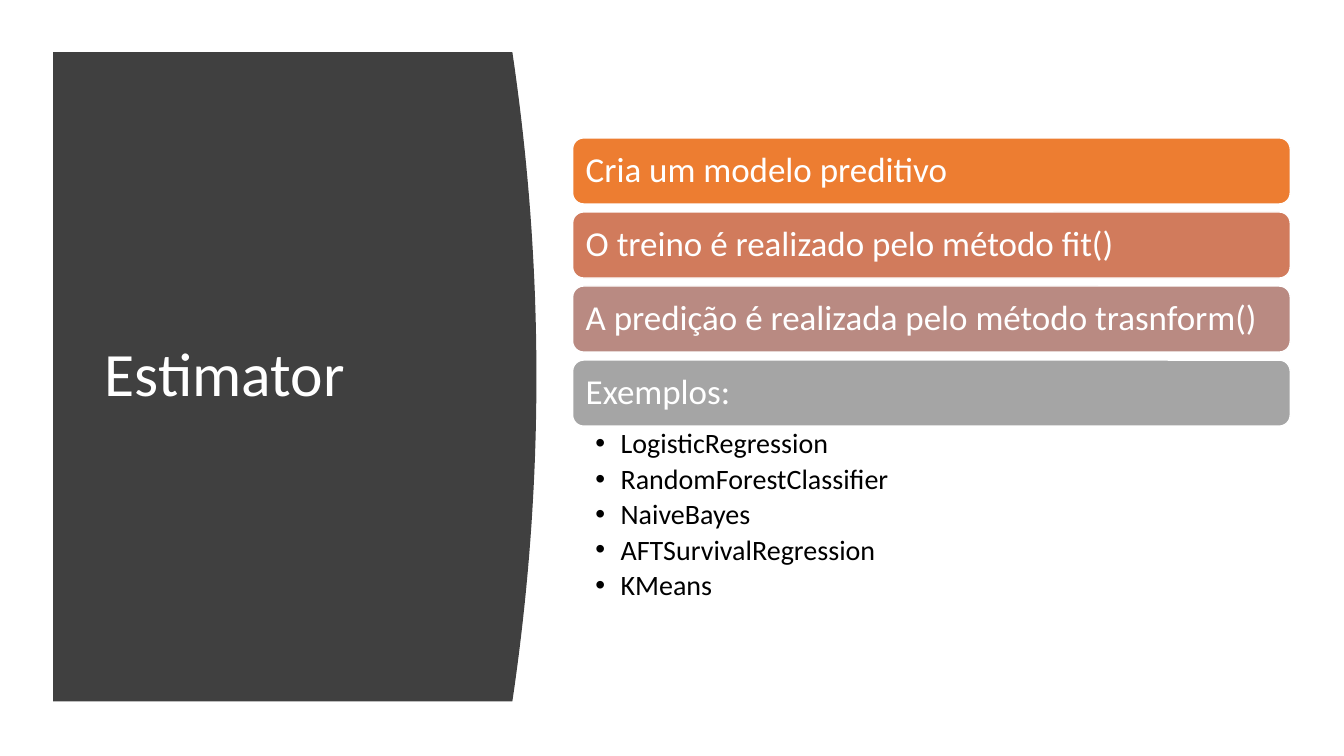
from lxml import etree
from pptx import Presentation
from pptx.dml.color import RGBColor
from pptx.enum import shapes, text
from pptx.oxml.ns import qn
from pptx.util import Pt

WHITE = RGBColor(0xFF, 0xFF, 0xFF)
BLACK = RGBColor(0x00, 0x00, 0x00)
CHARCOAL = RGBColor(0x40, 0x40, 0x40)
ORANGE = RGBColor(0xED, 0x7D, 0x31)
TERRACOTTA = RGBColor(0xD1, 0x7B, 0x5C)
DUSTY_ROSE = RGBColor(0xB9, 0x8A, 0x82)
GRAY = RGBColor(0xA5, 0xA5, 0xA5)


def add_text(paragraph, wording, size, color):
    paragraph.alignment = text.PP_ALIGN.LEFT
    paragraph.line_spacing = 0.9
    run = paragraph.add_run()
    run.text = wording
    run.font.name = "Calibri"
    run.font.size = Pt(size)
    run.font.color.rgb = color


def set_frame(frame, left, top, right, bottom, anchor):
    frame.word_wrap = True
    frame.vertical_anchor = anchor
    frame.margin_left, frame.margin_top = Pt(left), Pt(top)
    frame.margin_right, frame.margin_bottom = Pt(right), Pt(bottom)


presentation = Presentation()
presentation.slide_width = Pt(960)
presentation.slide_height = Pt(540)
slide = presentation.slides.add_slide(presentation.slide_layouts[6])

# Dark panel whose right edge bulges as a parabola
panel_left, panel_top, panel_bottom = 38, 37.3, 501
edge_right, bulge, steps = 366, 17.2, 40
edge = []
for step in range(steps + 1):
    offset = 2 * step / steps - 1
    x = edge_right + bulge * (1 - offset ** 2)
    y = panel_top + (panel_bottom - panel_top) * step / steps
    edge.append((Pt(x), Pt(y)))
builder = slide.shapes.build_freeform(Pt(panel_left), Pt(panel_top))
builder.add_line_segments(edge + [(Pt(panel_left), Pt(panel_bottom))], close=True)
panel = builder.convert_to_shape()
panel.shadow.inherit = False
panel.fill.solid()
panel.fill.fore_color.rgb = CHARCOAL
panel.line.fill.background()

# Title
title = slide.shapes.add_textbox(Pt(67.8), Pt(80), Pt(269), Pt(377.5))
set_frame(title.text_frame, 7.2, 3.6, 7.2, 3.6, text.MSO_ANCHOR.MIDDLE)
add_text(title.text_frame.paragraphs[0], "Estimator", 44, WHITE)

# Bars
bars = [
    ("Cria um modelo preditivo", ORANGE),
    ("O treino é realizado pelo método fit()", TERRACOTTA),
    ("A predição é realizada pelo método trasnform()", DUSTY_ROSE),
    ("Exemplos:", GRAY),
]
bar_left, bar_top, bar_width, bar_height, bar_pitch = 409, 98.5, 512.6, 47.2, 52.9
for index, (wording, color) in enumerate(bars):
    bar = slide.shapes.add_shape(
        shapes.MSO_SHAPE.ROUNDED_RECTANGLE,
        Pt(bar_left), Pt(bar_top + index * bar_pitch), Pt(bar_width), Pt(bar_height))
    bar.shadow.inherit = False
    bar.fill.solid()
    bar.fill.fore_color.rgb = color
    bar.line.color.rgb = WHITE
    bar.line.width = Pt(1)
    set_frame(bar.text_frame, 7.2, 7.2, 7.2, 7.2, text.MSO_ANCHOR.MIDDLE)
    add_text(bar.text_frame.paragraphs[0], wording, 25, WHITE)

# Bulleted examples
examples = ["LogisticRegression", "RandomForestClassifier", "NaiveBayes",
            "AFTSurvivalRegression", "KMeans"]
example_box = slide.shapes.add_textbox(Pt(bar_left), Pt(304.5), Pt(bar_width), Pt(134.6))
frame = example_box.text_frame
set_frame(frame, 16.3, 2.3, 13.7, 2.3, text.MSO_ANCHOR.TOP)
for index, wording in enumerate(examples):
    paragraph = frame.add_paragraph() if index else frame.paragraphs[0]
    add_text(paragraph, wording, 20, BLACK)
    paragraph.space_after = Pt(3.75)
    properties = paragraph._p.get_or_add_pPr()
    properties.set("marL", str(Pt(18)))
    properties.set("indent", str(-Pt(18)))
    etree.SubElement(properties, qn("a:buFont")).set("typeface", "Arial")
    etree.SubElement(properties, qn("a:buChar")).set("char", "•")

presentation.save("out.pptx")
